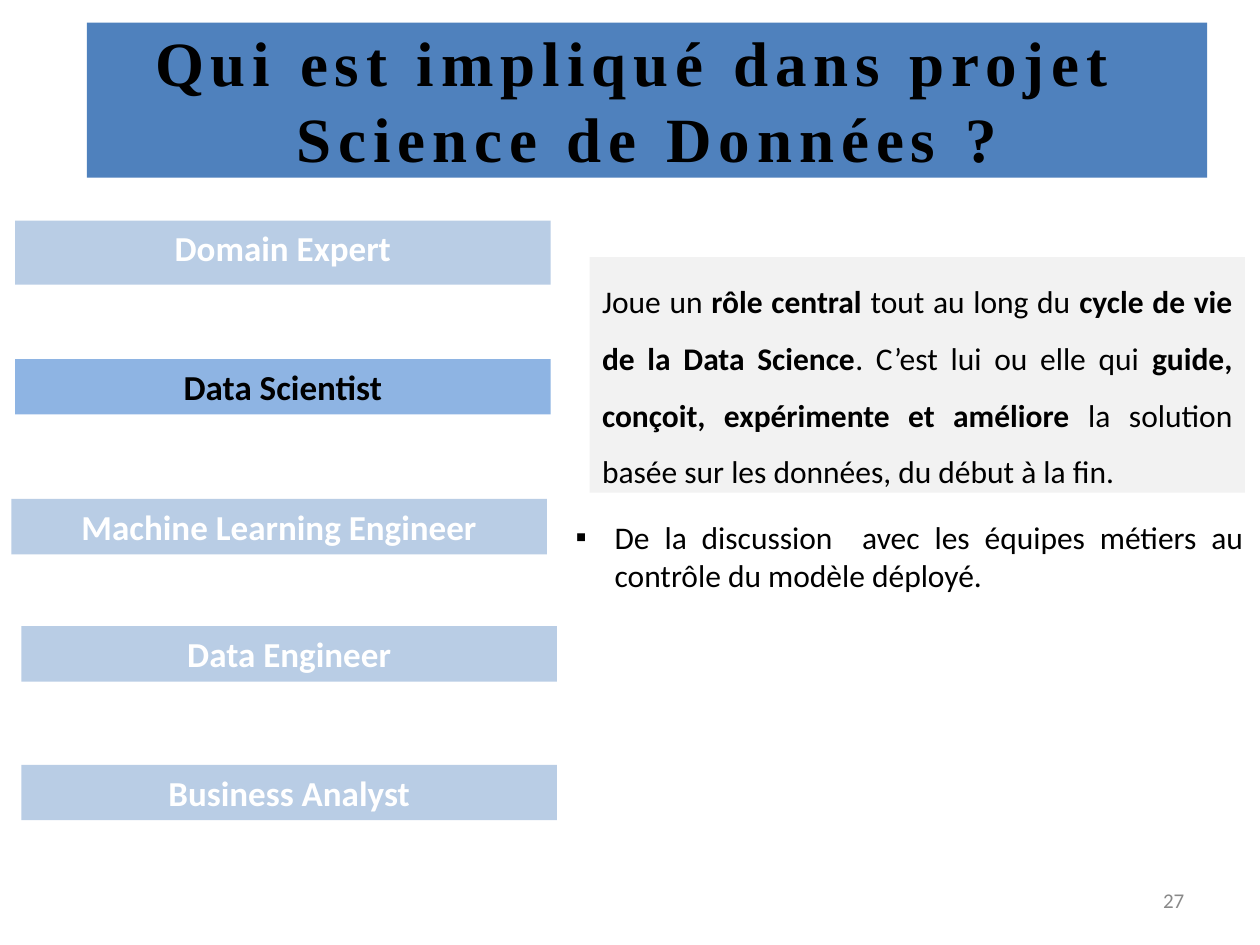
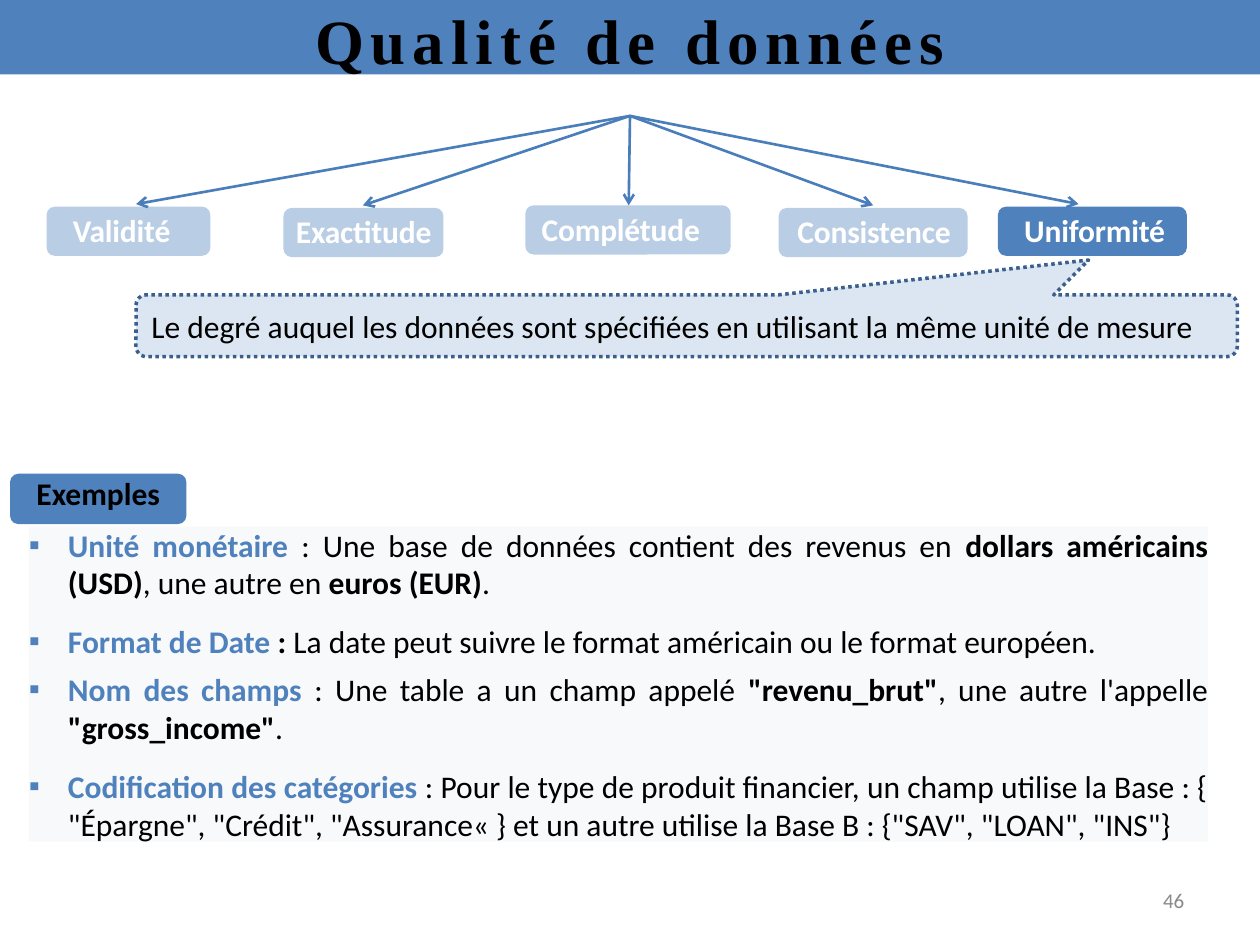
from lxml import etree
from pptx import Presentation
from pptx.dml.color import RGBColor
from pptx.enum.dml import MSO_LINE
from pptx.enum.shapes import MSO_CONNECTOR, MSO_SHAPE
from pptx.enum.text import MSO_ANCHOR, PP_ALIGN
from pptx.oxml.ns import qn
from pptx.util import Inches, Pt

COLORS = {
    "blue": "4F81BD", "pale": "DCE6F2", "faded": "B9CDE5", "active": "8EB4E3",
    "arrow": "4A7EBB", "outline": "3A5F8C", "panel": "F2F2F2", "examples": "F8F9FA",
    "black": "000000", "white": "FFFFFF", "grey": "898989",
}
# Run styles: bold, colour
STYLES = {
    "plain": (False, "black"), "bold": (True, "black"), "topic": (True, "blue"),
    "label": (True, "white"), "number": (False, "grey"),
}

# Content: who takes part in the project
ROLE_TITLE = ["Qui est impliqué dans projet ", "Science de Données ?"]
ROLES = [  # name, left, top, height
    ("Domain Expert", 0.12, 1.75, 0.51),
    ("Data Scientist", 0.12, 2.85, 0.44),
    ("Machine Learning Engineer", 0.09, 3.96, 0.44),
    ("Data Engineer", 0.17, 4.97, 0.44),
    ("Business Analyst", 0.17, 6.07, 0.44),
]
CURRENT_ROLE = "Data Scientist"
ROLE_SUMMARY = [
    ("Joue un ", "plain"), ("rôle central", "bold"), (" tout au long du ", "plain"),
    ("cycle de vie de la Data Science", "bold"), (". C’est lui ou elle qui ", "plain"),
    ("guide, conçoit, expérimente et améliore", "bold"),
    (" la solution basée sur les données, du début à la fin.", "plain"),
]
ROLE_SCOPE = [("De la discussion  avec les équipes métiers au contrôle du modèle déployé.",
               "plain")]

# Content: data quality
QUALITY_TITLE = ["Qualité de données"]
CRITERIA = [  # name, left, top, width, text inset, arrow end
    ("Validité", 0.37, 1.64, 1.3, 0.19, (1.08, 1.62)),
    ("Exactitude", 2.25, 1.65, 1.27, 0.08, (2.88, 1.63)),
    ("Complétude", 4.17, 1.63, 1.63, 0.11, (4.99, 1.63)),
    ("Consistence", 6.18, 1.65, 1.5, 0.13, (6.93, 1.63)),
    ("Uniformité", 7.92, 1.64, 1.5, 0.19, (8.56, 1.62)),
]
CURRENT_CRITERION = "Uniformité"
ARROW_START = (5, 0.92)
DEFINITION = "Le degré auquel les données sont spécifiées en utilisant la même unité de mesure"
EXAMPLES = [  # space before, runs
    (6, [("Unité monétaire ", "topic"),
         (": Une base de données contient des revenus en ", "plain"),
         ("dollars américains (USD)", "bold"), (", une autre en ", "plain"),
         ("euros (EUR)", "bold"), (".", "plain")]),
    (12, [("Format de Date", "topic"), (" : ", "bold"),
          ("La date peut suivre le format américain ou le format européen.", "plain")]),
    (6, [("Nom des champs ", "topic"), (": Une table a un champ appelé ", "plain"),
         ('"revenu_brut"', "bold"), (", une autre l'appelle ", "plain"),
         ('"gross_income"', "bold"), (".", "plain")]),
    (12, [("Codification des catégories ", "topic"),
          (': Pour le type de produit financier, un champ utilise la Base : '
           '{ "Épargne", "Crédit", "Assurance« } et un autre utilise la Base B : '
           '{"SAV", "LOAN", "INS"}', "plain")]),
]


def rgb(color):
    return RGBColor.from_string(COLORS[color])


def set_frame(shape, insets=(0.1, 0.05, 0.1, 0.05), anchor=MSO_ANCHOR.TOP):
    frame = shape.text_frame
    frame.word_wrap = True
    frame.vertical_anchor = anchor
    frame.margin_left, frame.margin_top, frame.margin_right, frame.margin_bottom = map(
        Inches, insets)


def add_box(slide, at, fill, kind=MSO_SHAPE.RECTANGLE, **frame):
    box = slide.shapes.add_shape(kind, *map(Inches, at))
    box.shadow.inherit = False
    box.fill.solid()
    box.fill.fore_color.rgb = rgb(fill)
    box.line.fill.background()
    set_frame(box, **frame)
    return box


def add_text(slide, at, **frame):
    text = slide.shapes.add_textbox(*map(Inches, at))
    set_frame(text, **frame)
    return text


def add_run(paragraph, words, style="plain", size=18, font="Calibri", spacing=0):
    run = paragraph.add_run()
    run.text = words
    run.font.size, run.font.name = Pt(size), font
    run.font.bold = STYLES[style][0]
    run.font.color.rgb = rgb(STYLES[style][1])
    if spacing:
        run._r.get_or_add_rPr().set("spc", str(spacing))


def write(paragraph, runs, align=PP_ALIGN.JUSTIFY, size=18):
    paragraph.alignment = align
    for words, style in runs:
        add_run(paragraph, words, style, size)


def add_bullet(paragraph):
    props = paragraph._p.get_or_add_pPr()
    props.set("marL", str(Inches(0.31)))
    props.set("indent", str(-Inches(0.31)))
    etree.SubElement(props, qn("a:buFont")).set("typeface", "Times New Roman")
    etree.SubElement(props, qn("a:buChar")).set("char", "▪")


def add_title(slide, at, lines):
    band = add_box(slide, at, "blue", insets=(0, 0.01, 0, 0))
    paragraph = band.text_frame.paragraphs[0]
    paragraph.alignment = PP_ALIGN.CENTER
    for index, line in enumerate(lines):
        if index:
            paragraph.add_line_break()
        add_run(paragraph, line, "bold", 36, "Times New Roman", 400)


def add_page_number(slide, number):
    footer = add_text(slide, (9.19, 7.07, 0.25, 0.19), insets=(0.04, 0, 0, 0))
    paragraph = footer.text_frame.paragraphs[0]
    paragraph.line_spacing = Pt(12.4)
    write(paragraph, [(number, "number")], PP_ALIGN.LEFT, 12)


def add_arrow(slide, start, end):
    arrow = slide.shapes.add_connector(MSO_CONNECTOR.STRAIGHT, *map(Inches, start + end))
    arrow.line.color.rgb = rgb("arrow")
    arrow.line.width = Pt(1.5)
    etree.SubElement(arrow.line._get_or_add_ln(), qn("a:tailEnd")).set("type", "arrow")
    etree.SubElement(arrow._element.spPr, qn("a:effectLst"))


def build_roles(slide):
    add_title(slide, (0.69, 0.18, 8.89, 1.23), ROLE_TITLE)
    # Role list, with the current role highlighted
    for role, left, top, height in ROLES:
        fill, style = ("active", "bold") if role == CURRENT_ROLE else ("faded", "label")
        tile = add_box(slide, (left, top, 4.25, height), fill)
        write(tile.text_frame.paragraphs[0], [(role, style)], PP_ALIGN.CENTER, 20)
    # Description of the current role
    summary = add_box(slide, (4.68, 2.04, 5.2, 1.87), "panel").text_frame.paragraphs[0]
    summary.line_spacing = 1.5
    write(summary, ROLE_SUMMARY)
    scope = add_text(slide, (4.47, 4.06, 5.5, 0.71)).text_frame.paragraphs[0]
    add_bullet(scope)
    write(scope, ROLE_SCOPE)
    add_page_number(slide, "27")


def build_quality(slide):
    # Definition callout
    callout = add_box(slide, (1.08, 2.34, 8.74, 0.49), "pale",
                      MSO_SHAPE.ROUNDED_RECTANGULAR_CALLOUT, anchor=MSO_ANCHOR.MIDDLE)
    for index, value in enumerate((0.365, -1.064, 0.167)):
        callout.adjustments[index] = value
    callout.line.color.rgb = rgb("outline")
    callout.line.width = Pt(2)
    callout.line.dash_style = MSO_LINE.ROUND_DOT
    write(callout.text_frame.paragraphs[0], [(DEFINITION, "plain")])
    # Criteria fanned out from one point
    for criterion, left, top, width, inset, arrow_end in CRITERIA:
        fill = "blue" if criterion == CURRENT_CRITERION else "faded"
        tile = add_box(slide, (left, top, width, 0.39), fill, MSO_SHAPE.ROUNDED_RECTANGLE,
                       insets=(inset, 0, 0, 0.02), anchor=MSO_ANCHOR.MIDDLE)
        paragraph = tile.text_frame.paragraphs[0]
        paragraph.alignment = PP_ALIGN.LEFT
        add_run(paragraph, criterion, "label", spacing=-10)
        add_arrow(slide, ARROW_START, arrow_end)
    # Examples
    examples = add_box(slide, (0.23, 4.18, 9.36, 2.5), "examples", insets=(0, 0, 0, 0),
                       anchor=MSO_ANCHOR.MIDDLE).text_frame
    for index, (space, runs) in enumerate(EXAMPLES):
        paragraph = examples.add_paragraph() if index else examples.paragraphs[0]
        paragraph.space_before = Pt(space)
        add_bullet(paragraph)
        write(paragraph, runs)
    heading = add_box(slide, (0.08, 3.76, 1.4, 0.4), "blue", MSO_SHAPE.ROUNDED_RECTANGLE,
                      insets=(0, -0.02, 0, 0))
    write(heading.text_frame.paragraphs[0], [("Exemples", "bold")], PP_ALIGN.CENTER)
    add_title(slide, (0, 0, 10, 0.59), QUALITY_TITLE)
    add_page_number(slide, "46")


def main():
    deck = Presentation()
    deck.slide_width, deck.slide_height = Inches(10), Inches(7.5)
    for build in (build_roles, build_quality):
        build(deck.slides.add_slide(deck.slide_layouts[6]))
    deck.save("out.pptx")


if __name__ == "__main__":
    main()
